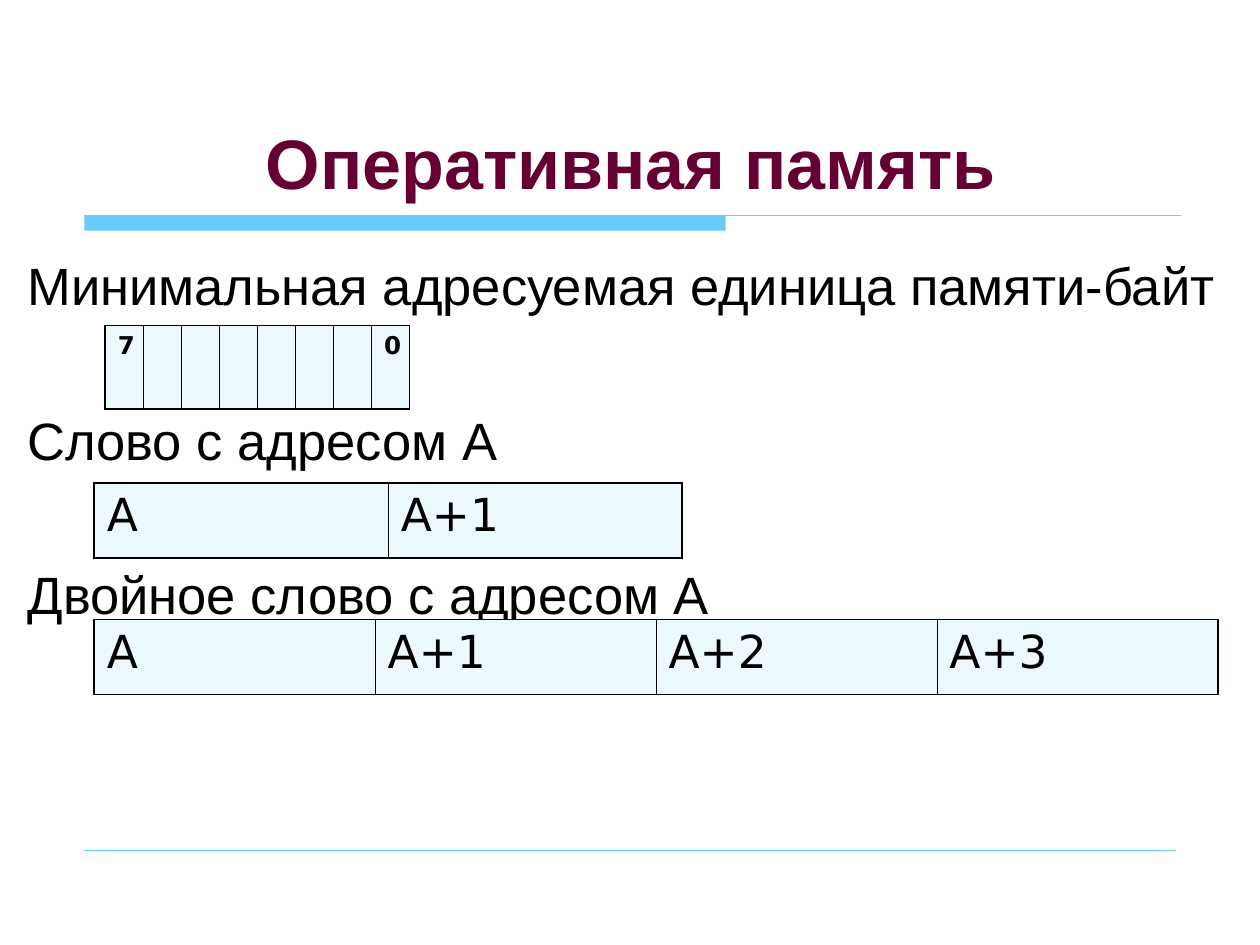
from lxml import etree
from pptx import Presentation
from pptx import util as u
from pptx.dml.color import RGBColor
from pptx.enum import shapes, text
from pptx.oxml import ns

MAROON = RGBColor(0x66, 0x00, 0x33)
SKY = RGBColor(0x66, 0xCC, 0xFF)
PALE = RGBColor(0xEC, 0xF9, 0xFC)
BLACK = RGBColor(0, 0, 0)


class SlideBuilder:
    heading_font = "Arial"
    cell_font = "DejaVu Sans"
    outer_border = u.Pt(1.08)
    inner_border = u.Pt(0.45)

    def __init__(self, slide):
        self.slide = slide

    def place(self, item, left, top, width, height):
        item.left, item.top = u.Cm(left), u.Cm(top)
        item.width, item.height = u.Cm(width), u.Cm(height)

    def style(self, paragraph, font_name, size, color, bold=False):
        for run in paragraph.runs:
            run.font.name = font_name
            run.font.size = u.Pt(size)
            run.font.color.rgb = color
            run.font.bold = bold

    def title(self, wording, *box):
        heading = self.slide.shapes.title
        self.place(heading, *box)
        frame = heading.text_frame
        frame.text = wording
        frame.auto_size = text.MSO_AUTO_SIZE.NONE
        frame.vertical_anchor = text.MSO_ANCHOR.BOTTOM
        frame.paragraphs[0].alignment = text.PP_ALIGN.CENTER
        self.style(frame.paragraphs[0], self.heading_font, 40, MAROON, True)

    def body(self, statements, gap, *box):
        body = self.slide.placeholders[1]
        self.place(body, *box)
        frame = body.text_frame
        frame.text = "\n".join(statements)
        frame.auto_size = text.MSO_AUTO_SIZE.NONE
        frame.margin_top = u.Cm(0.22)
        for index, paragraph in enumerate(frame.paragraphs):
            properties = paragraph._p.get_or_add_pPr()
            properties.set("marL", str(u.Cm(1.3)))
            properties.set("indent", str(-u.Cm(1.3)))
            etree.SubElement(properties, ns.qn("a:buNone"))
            paragraph.space_before = u.Pt(gap if index else 0)
            self.style(paragraph, self.heading_font, 30, BLACK)

    def bar(self, left, top, width, height):
        bar = self.slide.shapes.add_shape(
            shapes.MSO_SHAPE.RECTANGLE,
            u.Cm(left), u.Cm(top), u.Cm(width), u.Cm(height))
        bar.shadow.inherit = False
        bar.fill.solid()
        bar.fill.fore_color.rgb = SKY
        bar.line.fill.background()

    def rule(self, left, right, y, weight):
        rule = self.slide.shapes.add_connector(
            shapes.MSO_CONNECTOR.STRAIGHT,
            u.Cm(left), u.Cm(y), u.Cm(right), u.Cm(y))
        rule.line.color.rgb = SKY
        rule.line.width = u.Pt(weight)
        etree.SubElement(rule._element.spPr, ns.qn("a:effectLst"))

    def border(self, cell, side, weight):
        properties = cell._tc.get_or_add_tcPr()
        line = etree.SubElement(properties, ns.qn(f"a:ln{side}"), w=str(weight))
        fill = etree.SubElement(line, ns.qn("a:solidFill"))
        etree.SubElement(fill, ns.qn("a:srgbClr"), val=str(BLACK))

    def memory_row(self, labels, left, top, width, height, size, bold=False):
        table = self.slide.shapes.add_table(
            1, len(labels),
            u.Cm(left), u.Cm(top), u.Cm(width), u.Cm(height)).table
        table.first_row = table.horz_banding = False
        last = len(labels) - 1
        for index, label in enumerate(labels):
            table.columns[index].width = u.Cm(width / len(labels))
            cell = table.cell(0, index)
            left_weight = self.inner_border if index else self.outer_border
            right_weight = self.inner_border if index < last else self.outer_border
            self.border(cell, "L", left_weight)
            self.border(cell, "R", right_weight)
            self.border(cell, "T", self.outer_border)
            self.border(cell, "B", self.outer_border)
            cell.fill.solid()
            cell.fill.fore_color.rgb = PALE
            cell.text_frame.text = label
            self.style(cell.text_frame.paragraphs[0],
                       self.cell_font, size, BLACK, bold)


def main():
    deck = Presentation()
    deck.slide_width, deck.slide_height = u.Cm(25.4), u.Cm(19.05)
    memory = SlideBuilder(deck.slides.add_slide(deck.slide_layouts[1]))

    memory.bar(1.7, 4.34, 12.93, 0.31)
    memory.rule(1.7, 23.8, 4.34, 0.75)
    memory.rule(1.7, 23.7, 17.15, 0.25)
    memory.title("Оперативная память", 1.6, 0.84, 22.23, 3.38)
    memory.body(["Минимальная адресуемая единица памяти-байт",
                 "Слово с адресом А",
                 "Двойное слово с адресом А"], 52.4, 0.3, 4.88, 25.1, 11.86)

    memory.memory_row(["А", "А+1"], 1.9, 9.74, 11.85, 1.51, 26)
    memory.memory_row(["7", *[""] * 6, "0"], 2.12, 6.56, 6.14, 1.69, 14, True)
    memory.memory_row(["А", "А+1", "А+2", "А+3"], 1.9, 12.49, 22.65, 1.51, 26)

    deck.save("out.pptx")


if __name__ == "__main__":
    main()
